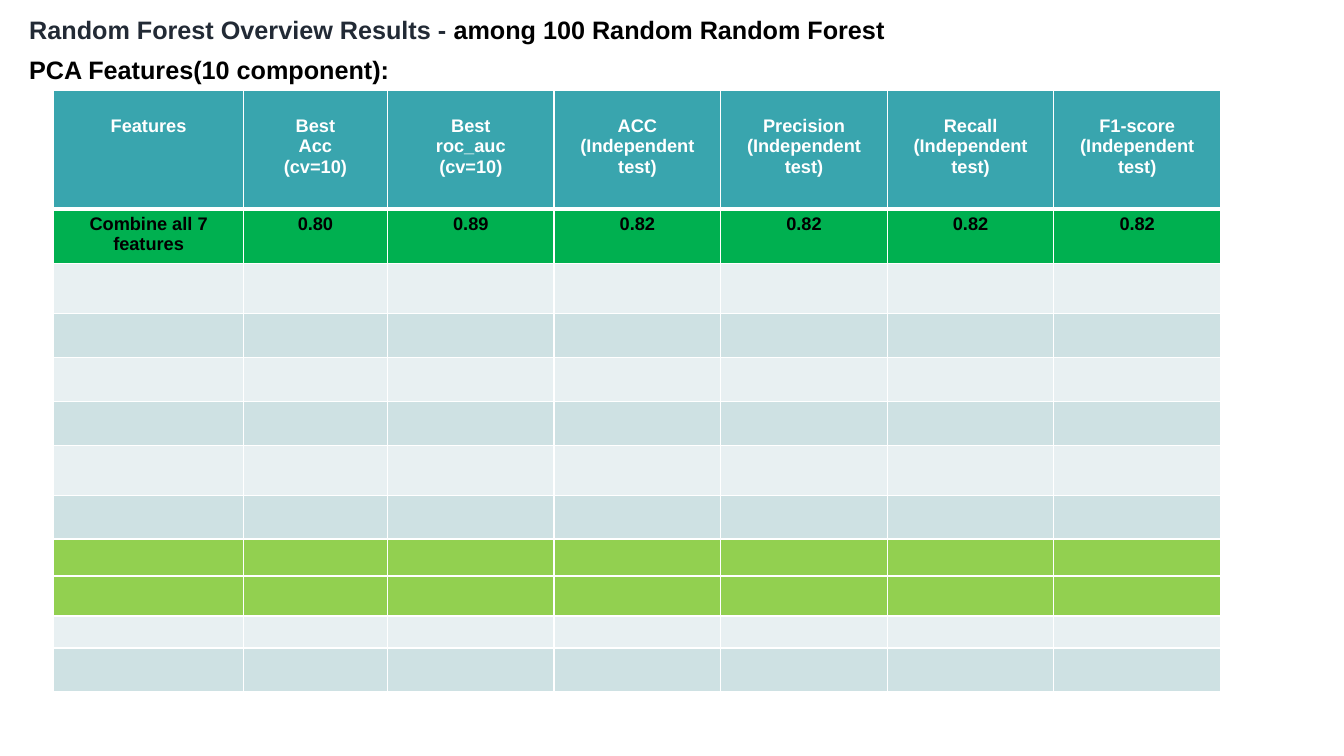
"""Build the slide of random forest results on PCA features."""
import pptx
import pptx.dml.color
import pptx.enum.text
import pptx.oxml
import pptx.oxml.ns
import pptx.util

Pt = pptx.util.Pt
RGB = pptx.dml.color.RGBColor
ALIGN = pptx.enum.text.PP_ALIGN
ANCHOR = pptx.enum.text.MSO_ANCHOR

BLACK = RGB(0, 0, 0)
WHITE = RGB(255, 255, 255)
NAVY = RGB(0x22, 0x2A, 0x35)
TEAL = RGB(0x39, 0xA5, 0xAE)
GREEN = RGB(0x00, 0xB0, 0x50)
LIME = RGB(0x92, 0xD0, 0x50)
PALE = RGB(0xE8, 0xF0, 0xF2)
MIST = RGB(0xCE, 0xE1, 0xE3)

HEADS = [
    "Features",
    "Best\nAcc\n(cv=10)",
    "Best\nroc_auc\n(cv=10)",
    *[f"{name}\n(Independent test)" for name in ("ACC", "Precision", "Recall", "F1-score")],
]
SCORES = ["Combine all 7 features", "0.80", "0.89"] + ["0.82"] * 4
WIDTHS = [135.4, 103] + [119] * 5
ROWS = [
    (85, TEAL), (38.9, GREEN), (35.7, PALE), (31.4, MIST),
    (31.4, PALE), (31.4, MIST), (35.7, PALE), (31.4, MIST),
    (26.4, LIME), (28.6, LIME), (22.9, PALE), (31.4, MIST),
]


def style(para, size, color, align):
    para.alignment = align
    para.font.name = "Arial"
    para.font.size = Pt(size)
    para.font.bold = True
    para.font.color.rgb = color


def edge(cell, side, width):
    line = pptx.oxml.parse_xml(
        f'<a:ln{side} {pptx.oxml.ns.nsdecls("a")} w="{Pt(width)}">'
        f'<a:solidFill><a:srgbClr val="{WHITE}"/></a:solidFill></a:ln{side}>'
    )
    cell._tc.get_or_add_tcPr().append(line)


deck = pptx.Presentation()
deck.slide_width, deck.slide_height = Pt(960), Pt(540)
slide = deck.slides.add_slide(deck.slide_layouts[5])

title = slide.shapes.title
title.left, title.top, title.width, title.height = Pt(13.7), Pt(6.3), Pt(680), Pt(28.8)
title.text_frame.vertical_anchor = ANCHOR.TOP
title.text_frame.word_wrap = True
para = title.text_frame.paragraphs[0]
style(para, 18, BLACK, ALIGN.LEFT)
lead = para.add_run()
lead.text = "Random Forest Overview Results - "
lead.font.color.rgb = NAVY
para.add_run().text = "among 100 Random Random Forest"

label = slide.shapes.add_textbox(Pt(13.7), Pt(35.5), Pt(792.7), Pt(28.8))
label.text_frame.word_wrap = True
label.text_frame.text = "PCA Features(10 component):"
style(label.text_frame.paragraphs[0], 18, BLACK, ALIGN.JUSTIFY)

frame = slide.shapes.add_table(
    len(ROWS), len(WIDTHS), Pt(38.4), Pt(64.3),
    Pt(sum(WIDTHS)), Pt(sum(tall for tall, fill in ROWS)),
)
table = frame.table
for col, wide in zip(table.columns, WIDTHS):
    col.width = Pt(wide)

for r, (tall, fill) in enumerate(ROWS):
    table.rows[r].height = Pt(tall)
    for c in range(len(WIDTHS)):
        cell = table.cell(r, c)
        for side in "LRTB":
            thick = (r, side) in ((0, "B"), (1, "T"))
            edge(cell, side, 3 if thick else 1)
        cell.fill.solid()
        cell.fill.fore_color.rgb = fill
        if r == 0:
            cell.margin_top = Pt(18.6)
        if r < 2:
            cell.text = (HEADS, SCORES)[r][c]
        for para in cell.text_frame.paragraphs:
            style(para, 13 if r < 2 else 12, WHITE if r == 0 else BLACK, ALIGN.CENTER)

deck.save("out.pptx")
